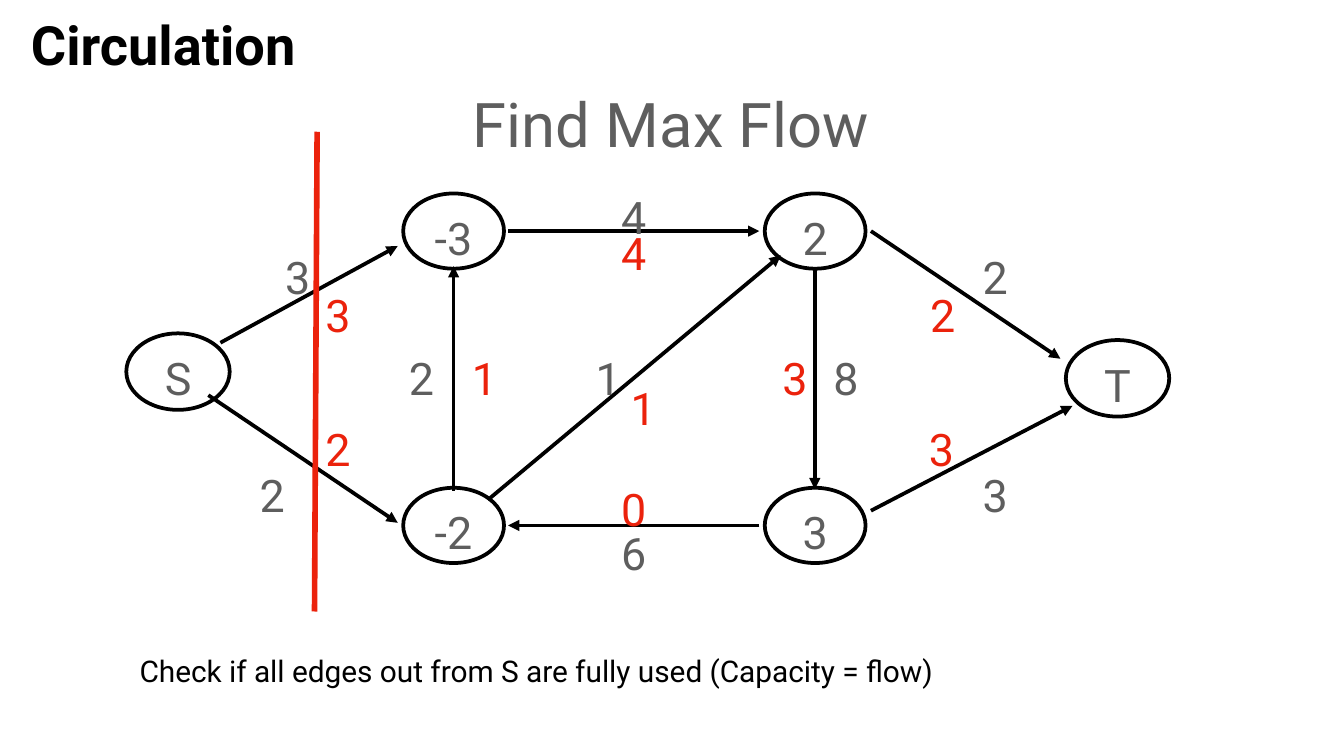
"""Build a slide with a flow network, its capacities, flows and cut."""
from pptx import Presentation
from pptx.dml.color import RGBColor
from pptx.enum.shapes import MSO_CONNECTOR as Link, MSO_SHAPE as Kind
from pptx.enum.text import MSO_ANCHOR as Anchor, PP_ALIGN as Align
from pptx.oxml.ns import qn
from pptx.util import Pt
from lxml.etree import SubElement

BLACK, GRAY, RED = "000000", "5E5E5E", "EB220C"
rgb = RGBColor.from_string

deck = Presentation()
deck.slide_width, deck.slide_height = Pt(720), Pt(405)
slide = deck.slides.add_slide(deck.slide_layouts[6])
shapes = slide.shapes


def write(text, x, y, w=20.9, h=34.6, size=24, color=GRAY, pad=2.9,
          align=Align.CENTER, anchor=Anchor.MIDDLE):
    box = shapes.add_textbox(Pt(x), Pt(y), Pt(w), Pt(h))
    frame = box.text_frame
    frame.margin_left = frame.margin_right = Pt(pad)
    frame.margin_top = frame.margin_bottom = Pt(pad)
    frame.word_wrap = True
    frame.vertical_anchor = anchor
    frame.text = text
    para = frame.paragraphs[0]
    para.alignment = align
    font = para.runs[0].font
    font.name, font.size = "Roboto", Pt(size)
    font.color.rgb = rgb(color)
    return para


def draw(start, end, color=BLACK, width=2, arrow=True):
    line = shapes.add_connector(Link.STRAIGHT, *map(Pt, start + end))
    line.line.color.rgb = rgb(color)
    line.line.width = Pt(width)
    if arrow:
        SubElement(line.line._get_or_add_ln(), qn("a:tailEnd"), type="triangle")
    SubElement(line._element.spPr, qn("a:effectLst"))


title = write("Circulation", 13.7, 10.1, 163.4, 33.1, 29, BLACK,
              align=Align.LEFT)
title.line_spacing = 0.8
title.runs[0].font.bold = True
write("Find Max Flow", 239, 43.2, 241.2, 45.4, 33)

nodes = [
    ("-3", 243, 123.8, 54, 40.3, 31.7),
    ("-2", 243, 281.5, 54, 40.3, 31.7),
    ("2", 436.7, 123.8, 54, 40.3, 20.9),
    ("3", 436.7, 281.5, 54, 40.3, 20.9),
    ("S", 95.4, 199.1, 55.4, 41, 23.8),
    ("T", 598.7, 202.7, 55.4, 41, 21.6),
]
for name, x, y, w, h, wide in nodes:
    node = shapes.add_shape(Kind.OVAL, Pt(x - w / 2), Pt(y - h / 2), Pt(w), Pt(h))
    node.shadow.inherit = False
    node.fill.background()
    node.line.color.rgb = rgb(BLACK)
    node.line.width = Pt(2)
    write(name, x - wide / 2, y + 3.4 - 17.3, wide)

edges = [
    ((272.2, 123.8), (406.8, 123.8)),
    ((261.4, 267.8), (418.3, 136.8)),
    ((243, 262.8), (243, 142.6)),
    ((436.5, 143.3), (436.5, 262.1)),
    ((406.8, 281.5), (272.2, 281.5)),
    ((118.1, 183.6), (213.1, 131.8)),
    ((466.6, 273.6), (574.6, 217.4)),
    ((111.6, 211.7), (213.1, 280.1)),
    ((466.6, 123.8), (568.1, 192.2)),
]
for start, end in edges:
    draw(start, end)

caps = [
    ("4", 339.5, 116), ("2", 225.7, 202.3), ("1", 325.8, 202.3),
    ("8", 453.2, 202.3), ("6", 339.5, 295.9), ("3", 159.5, 148.3),
    ("2", 145.8, 265), ("2", 533.2, 148.3), ("3", 533.2, 265),
]
flows = [
    ("3", 181.1, 168.5), ("2", 181.1, 240.5), ("1", 259.6, 202.3),
    ("1", 344.5, 218.2), ("0", 339.5, 272.2), ("4", 339.5, 135.4),
    ("3", 425.9, 202.3), ("2", 505, 168.5), ("3", 504.4, 240.5),
]
for group, color in ((caps, GRAY), (flows, RED)):
    for text, x, y in group:
        write(text, x - 10.45, y - 17.3, color=color)

draw((169.9, 70.6), (168.5, 327.6), RED, 3, False)
write("Check if all edges out from S are fully used (Capacity = flow)",
      67.7, 342.7, 453.6, 33.8, 16, BLACK, 7.2, Align.LEFT, Anchor.TOP)

deck.save("out.pptx")
